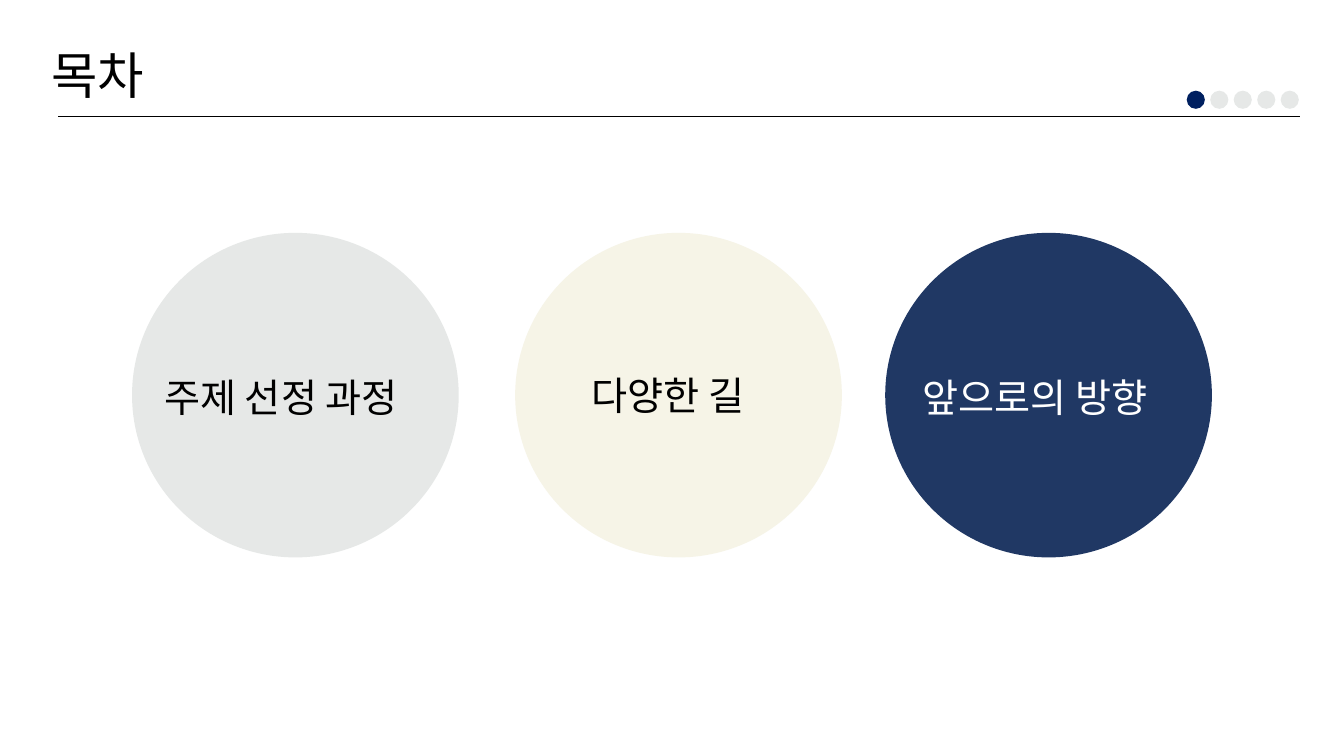
from dataclasses import dataclass

from lxml.etree import SubElement
from pptx import Presentation
from pptx.dml.color import RGBColor
from pptx.enum.shapes import MSO_CONNECTOR, MSO_SHAPE
from pptx.enum.text import MSO_AUTO_SIZE
from pptx.oxml.ns import qn
from pptx.slide import Slide
from pptx.util import Inches, Pt


@dataclass(frozen=True)
class Theme:
    font: str = "Noto Sans CJK KR"
    title_size: int = 36
    topic_size: int = 28
    rule_width: float = 0.5
    black: str = "000000"
    white: str = "FFFFFF"
    gray: str = "E6E8E7"
    cream: str = "F6F4E7"
    navy: str = "203864"
    active: str = "002060"


@dataclass(frozen=True)
class Label:
    text: str
    left: float
    top: float
    width: float
    height: float
    size: int
    color: str


@dataclass(frozen=True)
class Topic:
    circle_left: float
    fill: str
    label: Label


THEME = Theme()
TITLE = Label("목차", 0.41, 0.39, 1.21, 0.71, THEME.title_size, THEME.black)
TOPICS = (
    Topic(1.31, THEME.gray,
          Label("주제 선정 과정", 1.53, 3.65, 2.82, 0.57, THEME.topic_size, THEME.black)),
    Topic(5.11, THEME.cream,
          Label("다양한 길", 5.77, 3.63, 1.9, 0.57, THEME.topic_size, THEME.black)),
    Topic(8.78, THEME.navy,
          Label("앞으로의 방향", 9.05, 3.65, 2.69, 0.57, THEME.topic_size, THEME.white)),
)
CIRCLE_TOP, CIRCLE_WIDTH, CIRCLE_HEIGHT = 2.31, 3.24, 3.22
RULE_LEFT, RULE_RIGHT, RULE_TOP = 0.58, 12.89, 1.15
STEP_COUNT, ACTIVE_STEP = 5, 0
STEP_LEFT, STEP_TOP, STEP_SIZE, STEP_PITCH = 11.77, 0.9, 0.18, 0.233


def add_ellipse(slide: Slide, left: float, top: float, width: float,
                height: float, fill: str) -> None:
    ellipse = slide.shapes.add_shape(
        MSO_SHAPE.OVAL, Inches(left), Inches(top), Inches(width), Inches(height))
    ellipse.shadow.inherit = False
    ellipse.fill.solid()
    ellipse.fill.fore_color.rgb = RGBColor.from_string(fill)
    ellipse.line.fill.background()


def add_label(slide: Slide, label: Label) -> None:
    frame = slide.shapes.add_textbox(
        Inches(label.left), Inches(label.top),
        Inches(label.width), Inches(label.height)).text_frame
    frame.word_wrap = False
    frame.auto_size = MSO_AUTO_SIZE.SHAPE_TO_FIT_TEXT
    paragraph = frame.paragraphs[0]
    paragraph.text = label.text
    font = paragraph.font
    font.size = Pt(label.size)
    font.color.rgb = RGBColor.from_string(label.color)
    font.name = THEME.font
    properties = paragraph._p.pPr.find(qn("a:defRPr"))
    SubElement(properties, qn("a:ea")).set("typeface", THEME.font)


def add_rule(slide: Slide) -> None:
    rule = slide.shapes.add_connector(
        MSO_CONNECTOR.STRAIGHT, Inches(RULE_LEFT), Inches(RULE_TOP),
        Inches(RULE_RIGHT), Inches(RULE_TOP))
    rule.line.color.rgb = RGBColor.from_string(THEME.black)
    rule.line.width = Pt(THEME.rule_width)
    SubElement(rule._element.spPr, qn("a:effectLst"))


def add_steps(slide: Slide) -> None:
    for step in reversed(range(STEP_COUNT)):
        fill = THEME.active if step == ACTIVE_STEP else THEME.gray
        add_ellipse(slide, STEP_LEFT + step * STEP_PITCH, STEP_TOP,
                    STEP_SIZE, STEP_SIZE, fill)


def main() -> None:
    presentation = Presentation()
    presentation.slide_width = Inches(13.33)
    presentation.slide_height = Inches(7.5)
    slide = presentation.slides.add_slide(presentation.slide_layouts[6])
    add_label(slide, TITLE)
    add_rule(slide)
    add_steps(slide)
    for topic in reversed(TOPICS):
        add_ellipse(slide, topic.circle_left, CIRCLE_TOP,
                    CIRCLE_WIDTH, CIRCLE_HEIGHT, topic.fill)
    for topic in TOPICS:
        add_label(slide, topic.label)
    presentation.save("out.pptx")


if __name__ == "__main__":
    main()
